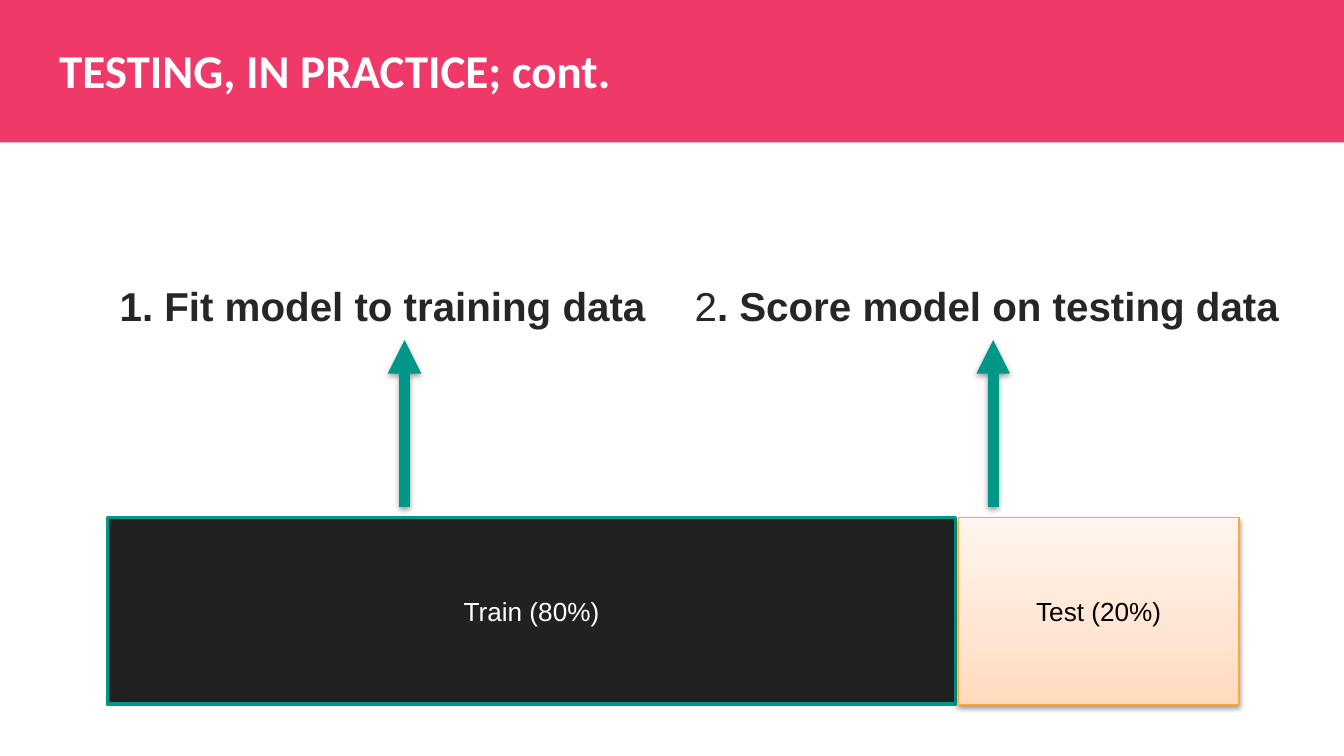
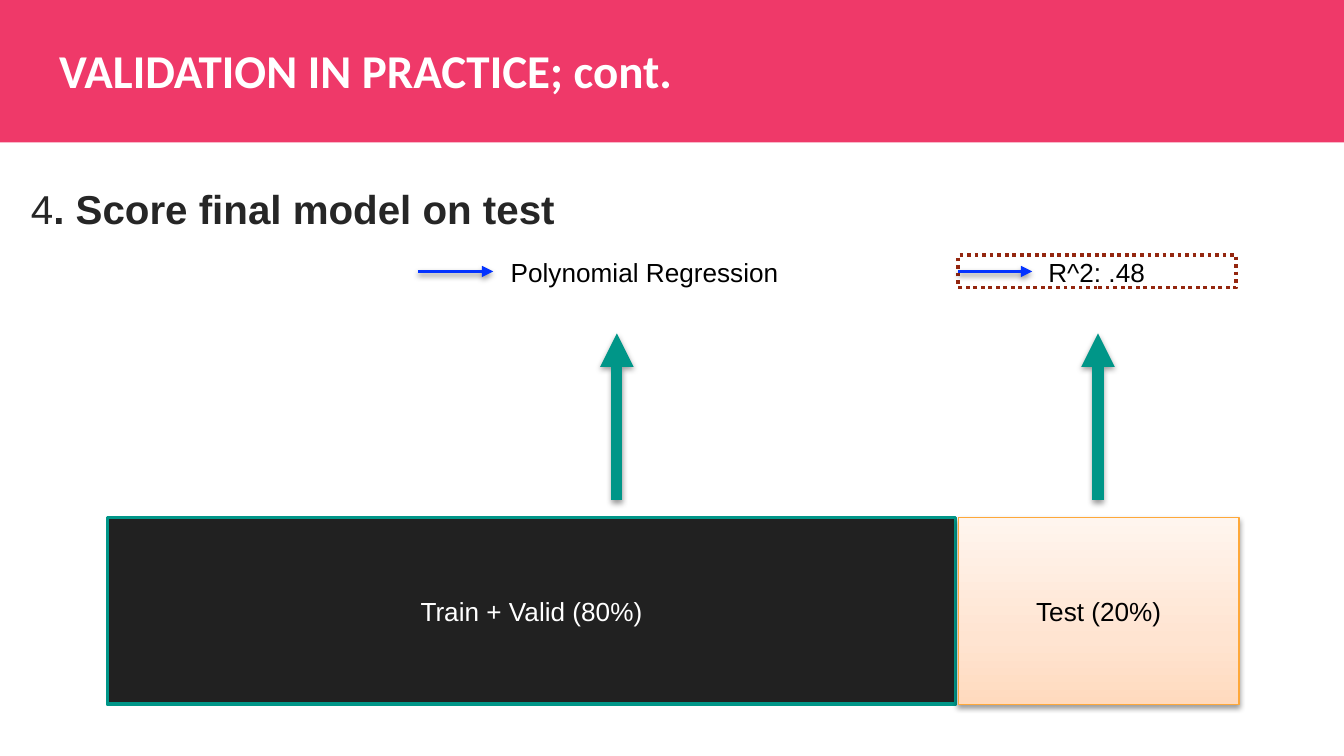
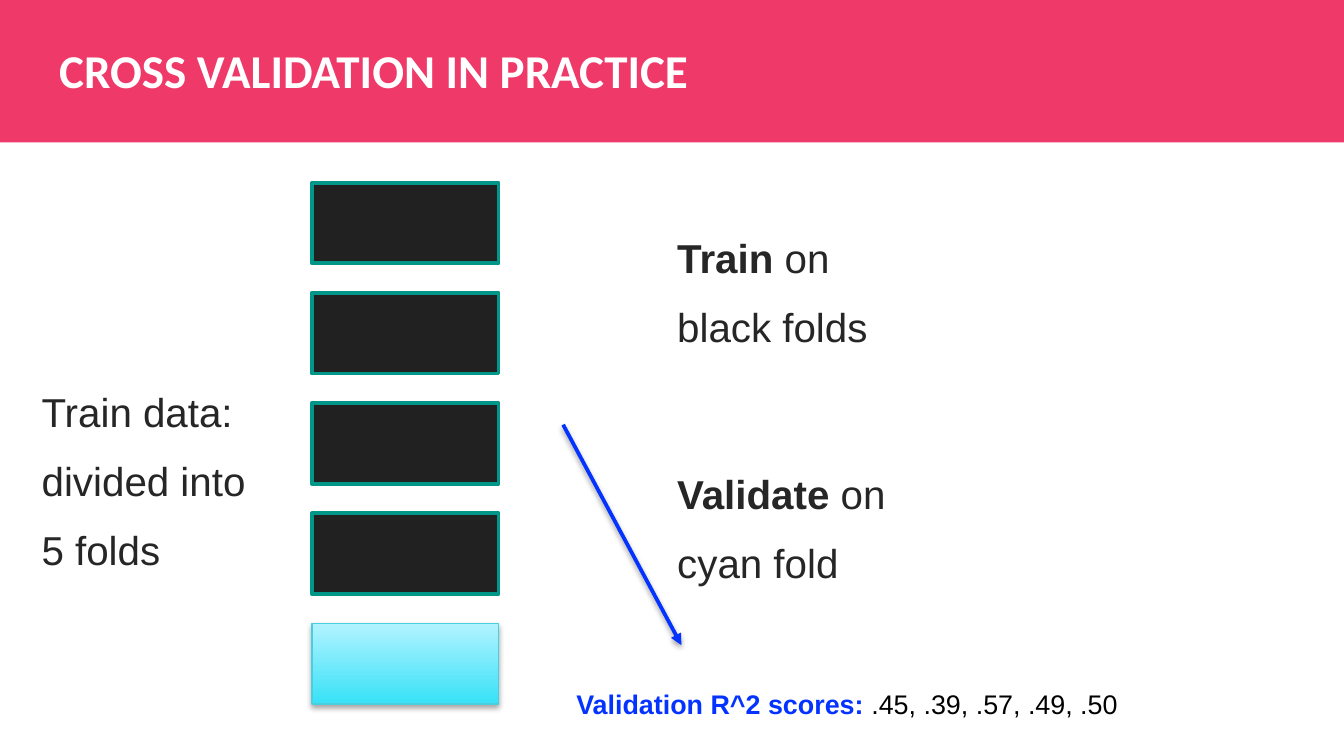
from dataclasses import dataclass
from typing import Optional

from lxml.etree import SubElement
from pptx import Presentation
from pptx.dml.color import RGBColor
from pptx.enum.dml import MSO_LINE
from pptx.enum.shapes import MSO_CONNECTOR, MSO_SHAPE
from pptx.enum.text import MSO_ANCHOR, MSO_AUTO_SIZE, PP_ALIGN
from pptx.oxml.ns import qn
from pptx.util import Inches, Pt

PINK, TEAL, BLACK, BLUE = "EF3969", "009688", "212121", "0433FF"
WHITE, INK, TEXT, BROWN = "FFFFFF", "000000", "262626", "94260F"
BODY_SIZE, BODY_LEADING = 21.6, 37


@dataclass(frozen=True)
class Box:
    left: float
    top: float
    width: float
    height: float

    def emu(self) -> tuple:
        return tuple(Inches(v) for v in (self.left, self.top, self.width, self.height))


@dataclass(frozen=True)
class Run:
    text: str
    bold: bool = False
    color: str = TEXT
    size: float = BODY_SIZE
    font: str = "Arial"


@dataclass(frozen=True)
class Shadow:
    alpha: int
    distance: float
    blur: float = 3


@dataclass(frozen=True)
class BlockStyle:
    line: str
    line_width: float
    text: str
    stops: tuple  # (position in percent, colour), from bottom to top
    shadow: Optional[Shadow] = None


@dataclass(frozen=True)
class ArrowStyle:
    color: str
    width: float


SOFT = Shadow(38, 1.6)
DARK = BlockStyle(TEAL, 2, WHITE, ((0, BLACK),))
PEACH = BlockStyle("FEA83A", 0.75, INK,
                   ((0, "FFDABE"), (35, "FFE4D1"), (100, "FFF5EE")), SOFT)
CYAN = BlockStyle("48CEDF", 0.75, INK,
                  ((0, "37E1F7"), (100, "B2F3FF")), Shadow(35, 1.8))
THICK, THIN = ArrowStyle(TEAL, 6), ArrowStyle(BLUE, 2)

BAND = Box(0, 0, 10, 1.06)
TITLE = Box(0.34, 0.21, 7.23, 0.63)
TRAIN = Box(0.8, 3.85, 6.31, 1.39)
TEST = Box(7.13, 3.85, 2.09, 1.39)


def rgb(color: str) -> RGBColor:
    return RGBColor.from_string(color)


def add_xml(parent, tag: str, **attrs):
    return SubElement(parent, qn(tag), {k: str(v) for k, v in attrs.items()})


def add_color(parent, color: str):
    return add_xml(parent, "a:srgbClr", val=color)


def add_shadow(effects, shadow: Shadow) -> None:
    outer = add_xml(effects, "a:outerShdw", blurRad=Pt(shadow.blur),
                    dist=Pt(shadow.distance), dir=90 * 60000, rotWithShape=0)
    add_xml(add_color(outer, INK), "a:alpha", val=shadow.alpha * 1000)


def fill_gradient(sp, stops: tuple) -> None:
    """Fill upwards through any number of colour stops."""
    sp.fill.background()
    no_fill = sp.element.spPr.find(qn("a:noFill"))
    grad = add_xml(sp.element.spPr, "a:gradFill", rotWithShape=1)
    gs_list = add_xml(grad, "a:gsLst")
    for pos, color in stops:
        add_color(add_xml(gs_list, "a:gs", pos=pos * 1000), color)
    add_xml(grad, "a:lin", ang=270 * 60000, scaled=0)
    sp.element.spPr.replace(no_fill, grad)


def write(tf, paragraphs: list, leading: Optional[float] = None, inset: float = 0.1,
          align=PP_ALIGN.LEFT, anchor=MSO_ANCHOR.TOP, wrap: bool = True) -> None:
    """Write paragraphs, each a list of runs, into a text frame."""
    tf.auto_size = MSO_AUTO_SIZE.NONE if wrap else MSO_AUTO_SIZE.SHAPE_TO_FIT_TEXT
    tf.word_wrap = wrap
    tf.vertical_anchor = anchor
    tf.margin_left = tf.margin_top = tf.margin_right = tf.margin_bottom = Inches(inset)
    for i, runs in enumerate(paragraphs):
        p = tf.add_paragraph() if i else tf.paragraphs[0]
        p.alignment = align
        p.space_before = Pt(0)
        if leading:
            p.line_spacing = Pt(leading)
        for run in runs:
            r = p.add_run()
            r.text = run.text
            r.font.name, r.font.size, r.font.bold = run.font, Pt(run.size), run.bold
            r.font.color.rgb = rgb(run.color)


def place(sp, box: Box) -> None:
    sp.left, sp.top, sp.width, sp.height = box.emu()


def add_rect(s, box: Box):
    sp = s.shapes.add_shape(MSO_SHAPE.RECTANGLE, *box.emu())
    sp.shadow.inherit = False
    return sp


def add_block(s, box: Box, style: BlockStyle, label: str = "") -> None:
    sp = add_rect(s, box)
    if len(style.stops) > 1:
        fill_gradient(sp, style.stops)
    else:
        sp.fill.solid()
        sp.fill.fore_color.rgb = rgb(style.stops[0][1])
    sp.line.color.rgb = rgb(style.line)
    sp.line.width = Pt(style.line_width)
    if style.shadow:
        add_shadow(sp.element.spPr.find(qn("a:effectLst")), style.shadow)
    if label:
        write(sp.text_frame, [[Run(label, color=style.text, size=14)]], inset=0,
              align=PP_ALIGN.CENTER, anchor=MSO_ANCHOR.MIDDLE)


def add_arrow(s, start: tuple, end: tuple, style: ArrowStyle):
    c = s.shapes.add_connector(MSO_CONNECTOR.STRAIGHT,
                               *(Inches(v) for v in (*start, *end)))
    c.line.color.rgb = rgb(style.color)
    c.line.width = Pt(style.width)
    add_xml(c.element.spPr.find(qn("a:ln")), "a:tailEnd", type="triangle")
    add_shadow(add_xml(c.element.spPr, "a:effectLst"), SOFT)
    return c


def add_up_arrow(s, x: float, bottom: float) -> None:
    add_arrow(s, (x, bottom), (x, bottom - 1.24), THICK)


def add_text(s, box: Box, runs: list, leading: float = BODY_LEADING) -> None:
    write(s.shapes.add_textbox(*box.emu()).text_frame, [runs], leading)


def add_label(s, box: Box, text: str) -> None:
    write(s.shapes.add_textbox(*box.emu()).text_frame,
          [[Run(text, color=INK, size=14)]], inset=0, wrap=False)


def add_slide(prs, title: str, body_box: Box, body: list):
    """Add a slide with the pink title band and an unbulleted body."""
    s = prs.slides.add_slide(prs.slide_layouts[1])
    band = add_rect(s, BAND)
    band.fill.solid()
    band.fill.fore_color.rgb = rgb(PINK)
    band.line.fill.background()
    s.shapes.element.insert(2, band.element)

    place(s.shapes.title, TITLE)
    write(s.shapes.title.text_frame, [[Run(title, True, WHITE, 25.2, "Calibri")]])

    ph = s.placeholders[1]
    place(ph, body_box)
    write(ph.text_frame, body, BODY_LEADING)
    for p in ph.text_frame.paragraphs:
        pPr = p._p.get_or_add_pPr()
        pPr.set("marL", "0")
        pPr.set("indent", "0")
        add_xml(pPr, "a:buNone")
    return s


def add_split(s, train_label: str) -> None:
    add_block(s, TRAIN, DARK, train_label)
    add_block(s, TEST, PEACH, "Test (20%)")


def build_testing(prs) -> None:
    s = add_slide(prs, "TESTING, IN PRACTICE; cont.", Box(0.79, 1.84, 4.45, 0.6),
                  [[Run("1. Fit model to training data", True)]])
    add_split(s, "Train (80%)")
    add_text(s, Box(5.07, 1.84, 4.66, 0.6),
             [Run("2"), Run(". Score model on testing data", True)])
    for x in (3.01, 7.39):
        add_up_arrow(s, x, 3.77)


def build_validation(prs) -> None:
    s = add_slide(prs, "VALIDATION IN PRACTICE; cont.", Box(0.13, 1.12, 6.89, 0.6),
                  [[Run("4"), Run(". Score final model on test", True)]])
    add_split(s, "Train + Valid (80%)")
    for x in (4.59, 8.17):
        add_up_arrow(s, x, 3.72)

    score_frame = add_rect(s, Box(7.13, 1.9, 2.07, 0.24))
    score_frame.fill.background()
    score_frame.line.color.rgb = rgb(BROWN)
    score_frame.line.width = Pt(2)
    score_frame.line.dash_style = MSO_LINE.ROUND_DOT

    add_arrow(s, (3.11, 2.02), (3.67, 2.02), THIN)
    score_arrow = add_arrow(s, (7.13, 2.02), (7.68, 2.02), THIN)
    score_arrow.begin_connect(score_frame, 1)
    add_label(s, Box(3.8, 1.91, 2, 0.22), "Polynomial Regression")
    add_label(s, Box(7.8, 1.91, 0.73, 0.22), "R^2: .48")


def build_cross_validation(prs) -> None:
    s = add_slide(prs, "CROSS VALIDATION IN PRACTICE", Box(0.21, 2.63, 1.79, 1.33),
                  [[Run(t)] for t in ("Train data:", "divided into", "5 folds")])
    for i, style in enumerate([DARK] * 4 + [CYAN]):
        add_block(s, Box(2.32, 1.36 + 0.82 * i, 1.39, 0.6), style)
    for top, verb, rest in ((1.48, "Train", " on black folds"),
                            (3.24, "Validate", " on cyan fold")):
        add_text(s, Box(4.94, top, 1.79, 1.33), [Run(verb, True), Run(rest)])
    add_arrow(s, (4.19, 3.16), (5.07, 4.8), THIN)
    add_text(s, Box(4.19, 4.87, 5.54, 0.42),
             [Run("Validation R^2 scores: ", True, BLUE, 14.4),
              Run(".45, .39, .57, .49, .50", False, INK, 14.4)], leading=28)


def main() -> None:
    prs = Presentation()
    prs.slide_width = Inches(10)
    prs.slide_height = prs.slide_width * 9 // 16
    build_testing(prs)
    build_validation(prs)
    build_cross_validation(prs)
    prs.save("out.pptx")


if __name__ == "__main__":
    main()
